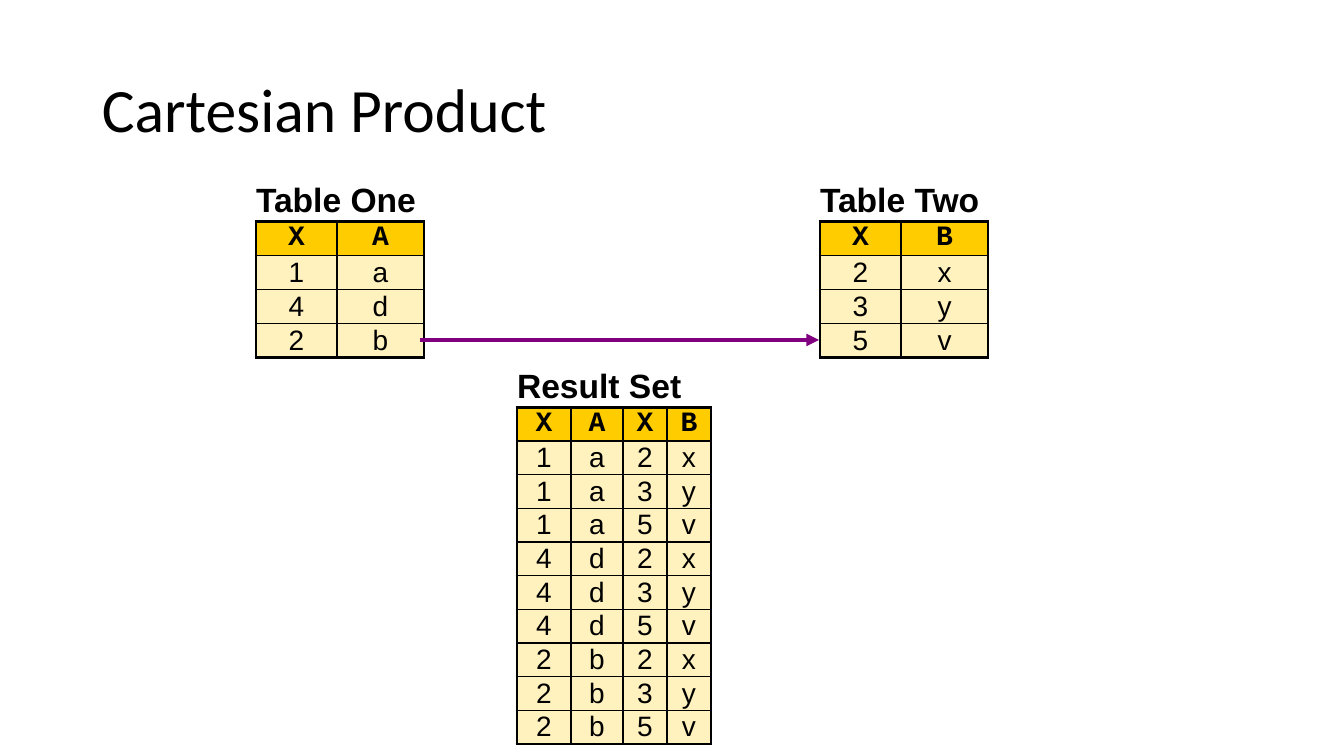
from itertools import product

from lxml import etree
from pptx import Presentation
from pptx import util as u
from pptx.dml.color import RGBColor
from pptx.enum import shapes, text
from pptx.oxml import ns

SCALE = 12192000 / 1344
BLACK = "000000"
THICK, THIN = 2.25, 1


def px(length):
    return u.Emu(round(length * SCALE))


def color(value):
    return RGBColor.from_string(value)


def style_font(font, name, size, bold=False):
    font.name = name
    font.size = u.Pt(size)
    font.bold = bold
    font.color.rgb = color(BLACK)


def add_title(page, box, wording):
    frame = page.shapes.add_textbox(*map(px, box)).text_frame
    frame.word_wrap = True
    frame.vertical_anchor = text.MSO_ANCHOR.MIDDLE
    para = frame.paragraphs[0]
    para.text = wording
    para.line_spacing = 0.9
    style_font(para.font, "Calibri", 44)


def set_borders(cell, widths):
    properties = cell._tc.get_or_add_tcPr()
    for side, width in zip("LRTB", widths):
        line = etree.SubElement(properties, ns.qn(f"a:ln{side}"))
        if width:
            line.set("w", str(u.Pt(width)))
            fill = etree.SubElement(line, ns.qn("a:solidFill"))
            etree.SubElement(fill, ns.qn("a:srgbClr"), val=BLACK)
        else:
            etree.SubElement(line, ns.qn("a:noFill"))


def fill_cell(cell, wording, font_name, size, bold, margin, align):
    cell.margin_left = cell.margin_right = px(margin)
    cell.margin_top = cell.margin_bottom = 0
    cell.vertical_anchor = text.MSO_ANCHOR.MIDDLE
    para = cell.text_frame.paragraphs[0]
    para.text = wording
    para.alignment = align
    style_font(para.font, font_name, size, bold)


def add_relation(page, box, caption, column_widths, header, records):
    rows = [header, *records]
    last_row, last_column = len(rows), len(header) - 1
    frame = page.shapes.add_table(len(rows) + 1, len(header), *map(px, box))
    table = frame.table
    table.first_row = table.horz_banding = False
    caption_height = 40
    table.rows[0].height = px(caption_height)
    for number in range(1, last_row + 1):
        table.rows[number].height = px((box[3] - caption_height) / len(rows))
    for column, width in zip(table.columns, column_widths):
        column.width = px(width)

    for column in range(len(header)):
        cell = table.cell(0, column)
        set_borders(cell, (0, 0, 0, THICK))
        cell.fill.background()
    title_cell = table.cell(0, 0)
    title_cell.merge(table.cell(0, last_column))
    fill_cell(title_cell, caption, "Arial", 24, True, 0, text.PP_ALIGN.LEFT)

    for number, row in enumerate(rows, 1):
        heading = number == 1
        for column, wording in enumerate(row):
            cell = table.cell(number, column)
            outer = (column == 0, column == last_column, heading, number == last_row)
            set_borders(cell, [THICK if edge else THIN for edge in outer])
            cell.fill.solid()
            cell.fill.fore_color.rgb = color("FFCC00" if heading else "FFF2BE")
            font_name = "Courier New" if heading else "Arial"
            fill_cell(cell, wording, font_name, 20, heading, 10, text.PP_ALIGN.CENTER)


def add_arrow(page, start, end):
    arrow = page.shapes.add_connector(
        shapes.MSO_CONNECTOR.STRAIGHT, *map(px, (*start, *end)))
    arrow.line.width = u.Pt(3)
    arrow.line.color.rgb = color("800080")
    properties = arrow._element.spPr
    line = properties.find(ns.qn("a:ln"))
    etree.SubElement(line, ns.qn("a:tailEnd"), type="triangle")
    etree.SubElement(properties, ns.qn("a:effectLst"))


def add_product_page(deck):
    page = deck.slides.add_slide(deck.slide_layouts[6])
    table_one = ["1a", "4d", "2b"]
    table_two = ["2x", "3y", "5v"]
    result_set = [left + right for left, right in product(table_one, table_two)]
    add_title(page, (92, 40, 1159, 146), "Cartesian Product")
    add_relation(page, (256, 181, 168, 176), "Table One", (81, 87), "XA", table_one)
    add_relation(page, (820, 181, 168, 176), "Table Two", (81, 87), "XB", table_two)
    add_relation(page, (517, 367, 194, 376), "Result Set", (54, 52, 44, 44),
                 "XAXB", result_set)
    add_arrow(page, (420, 340), (819, 340))


def main():
    deck = Presentation()
    deck.slide_width, deck.slide_height = px(1344), px(756)
    add_product_page(deck)
    deck.save("out.pptx")


if __name__ == "__main__":
    main()
